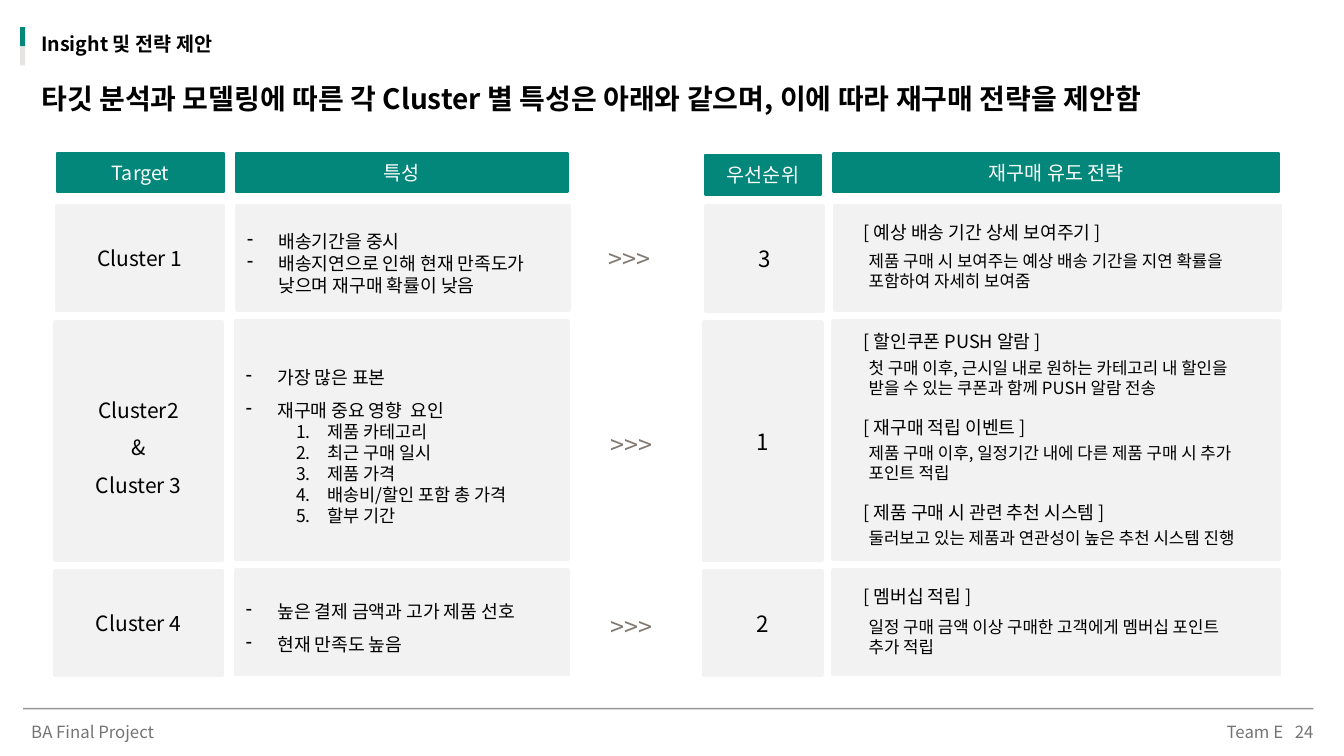
from copy import deepcopy
from lxml.etree import SubElement
from pptx import Presentation
from pptx.dml.color import RGBColor
from pptx.enum.shapes import MSO_CONNECTOR, MSO_SHAPE
from pptx.enum.text import MSO_ANCHOR, MSO_AUTO_SIZE, PP_ALIGN
from pptx.oxml.ns import qn
from pptx.util import Pt

FONT = "Noto Sans CJK KR"
COLORS = {"green": "03877A", "pale": "E6E5E4", "card": "F2F2F2", "text": "000000",
          "white": "FFFFFF", "footer": "747474", "arrow": "807971", "rule": "404040"}

prs = Presentation()
prs.slide_width, prs.slide_height = Pt(960), Pt(540)
s = prs.slides.add_slide(prs.slide_layouts[5])


def write(sp, lines, size, color="text", bold=False, align=PP_ALIGN.LEFT, spacing=1.0):
    """Fill a shape; a line is a text or a (text, spacing, bullet, size) tuple."""
    tf = sp.text_frame
    tf.word_wrap = True
    for i, line in enumerate(lines):
        text, gap, bullet, pts = (line, spacing, None, size) if isinstance(line, str) else line
        p = tf.paragraphs[0] if i == 0 else tf.add_paragraph()
        p.text, p.alignment, p.line_spacing = text, align, gap
        if bullet:
            numbered = bullet == "1."
            pPr = p._p.get_or_add_pPr()
            pPr.set("marL", str(Pt(58.5 if numbered else 22.5)))
            pPr.set("indent", str(Pt(-22.5)))
            if numbered:
                p.level = 1
                SubElement(pPr, qn("a:buAutoNum"), type="arabicPeriod")
            else:
                SubElement(pPr, qn("a:buChar"), char=bullet)
        for r in p.runs:
            for name, value in {"name": FONT, "size": Pt(pts), "bold": bold}.items():
                setattr(r.font, name, value)
            r.font.color.rgb = RGBColor.from_string(COLORS[color])
            rPr = r._r.get_or_add_rPr()
            SubElement(rPr, qn("a:ea"), typeface=FONT)
            for br in p._p.findall(qn("a:br")):
                if len(br) == 0:
                    br.append(deepcopy(rPr))


def box(left, top, width, height, fill, line=None):
    """Add a flat rectangle, outlined in its own colour if a line width is given."""
    sp = s.shapes.add_shape(MSO_SHAPE.RECTANGLE, Pt(left), Pt(top), Pt(width), Pt(height))
    sp.shadow.inherit = False
    sp.fill.solid()
    sp.fill.fore_color.rgb = RGBColor.from_string(COLORS[fill])
    if line:
        sp.line.color.rgb = RGBColor.from_string(COLORS[fill])
        sp.line.width = Pt(line)
    else:
        sp.line.fill.background()
    sp.text_frame.vertical_anchor = MSO_ANCHOR.MIDDLE
    return sp


# Section marker and title
for top, fill in ((19.4, "green"), (33.1, "pale")):
    box(14.4, top, 3.6, 13.7, fill)
section = s.shapes.add_textbox(Pt(22.3), Pt(19.4), Pt(164.9), Pt(24.5))
write(section, ["Insight 및 전략 제안"], 14, bold=True)

title = s.shapes.title
title.left, title.top, title.width, title.height = Pt(22.3), Pt(54.7), Pt(915.1), Pt(31.7)
title.text_frame.auto_size = MSO_AUTO_SIZE.NONE
title.text_frame.vertical_anchor = MSO_ANCHOR.TOP
write(title, ["타깃 분석과 모델링에 따른 각 Cluster 별 특성은 아래와 같으며, 이에 따라 재구매 전략을 제안함"],
      20, bold=True)

# Column headers: text, left, top, width
for text, left, top, width in (("Target", 41, 109.4, 118.8), ("특성", 168.5, 109.4, 236.9),
                               ("우선순위", 503.3, 110.9, 83.5),
                               ("재구매 유도 전략", 595.4, 109.4, 318.2)):
    write(box(left, top, width, 28.1, "green", 1.5), [text], 14, "white", align=PP_ALIGN.CENTER)

# Cluster rows
rows = [
    {"top": 146.9, "height": 74.2, "shift": 0.9, "arrow": (427.7, 170.6),
     "target": ["Cluster 1"], "rank": "3",
     "features": [("배송기간을 중시", 1.5, "-", 13),
                  ("배송지연으로 인해 현재 만족도가 \v낮으며 재구매 확률이 낮음", 1.0, "-", 13)],
     "strategies": [(154.8, "[ 예상 배송 기간 상세 보여주기 ]", 175.7,
                     "제품 구매 시 보여주는 예상 배송 기간을 지연 확률을 포함하여 자세히 보여줌")]},
    {"top": 229.7, "height": 169.9, "shift": 0, "arrow": (429.1, 303.1),
     "target": ["Cluster2\v&", "Cluster 3"], "rank": "1",
     "features": [("가장 많은 표본", 1.5, "-", 13), ("재구매 중요 영향  요인", 1.5, "-", 13)]
     + [(text, 1.0, "1.", 12.5) for text in ("제품 카테고리", "최근 구매 일시", "제품 가격",
                                             "배송비/할인 포함 총 가격", "할부 기간")],
     "strategies": [(232.6, "[ 할인쿠폰 PUSH 알람 ]", 252,
                     "첫 구매 이후, 근시일 내로 원하는 카테고리 내 할인을 \v받을 수 있는 쿠폰과 함께 PUSH 알람 전송"),
                    (293.8, "[ 재구매 적립 이벤트 ]", 312.5,
                     "제품 구매 이후, 일정기간 내에 다른 제품 구매 시 추가 \v포인트 적립"),
                    (354.2, "[ 제품 구매 시 관련 추천 시스템 ]", 373.7,
                     "둘러보고 있는 제품과 연관성이 높은 추천 시스템 진행")]},
    {"top": 407.5, "height": 74.2, "shift": 0, "arrow": (429.1, 433.4),
     "target": ["Cluster 4"], "rank": "2",
     "features": [("높은 결제 금액과 고가 제품 선호", 1.5, "-", 13), ("현재 만족도 높음", 1.5, "-", 13)],
     "strategies": [(414.7, "[ 멤버십 적립 ]", 437,
                     "일정 구매 금액 이상 구매한 고객에게 멤버십 포인트 \v추가 적립")]},
]
for row in rows:
    top, height, shift = row["top"], row["height"], row["shift"]
    target = box(39.6 + shift, top + 0.5, 118.8, height, "card", 3)
    write(target, row["target"], 15, align=PP_ALIGN.CENTER,
          spacing=1.5 if len(row["target"]) > 1 else 1.0)
    write(box(168.5 + shift, top, 236.9, height, "card", 3), row["features"], 13)
    rank = box(503.3 + shift, top + 0.7, 83.5, height, "card", 3)
    write(rank, [row["rank"]], 16, align=PP_ALIGN.CENTER)
    box(595.4 + shift, top, 318.2, height, "card", 3)

    arrow_left, arrow_top = row["arrow"]
    arrow = s.shapes.add_textbox(Pt(arrow_left), Pt(arrow_top), Pt(50.4), Pt(28.8))
    write(arrow, [">>>"], 18, "arrow")

    for heading_top, heading, detail_top, detail in row["strategies"]:
        write(s.shapes.add_textbox(Pt(609.8), Pt(heading_top), Pt(261), Pt(23)), [heading], 13)
        write(s.shapes.add_textbox(Pt(613.4), Pt(detail_top), Pt(285.1), Pt(36)), [detail], 12)

# Footer
rule = s.shapes.add_connector(MSO_CONNECTOR.STRAIGHT, Pt(938.2), Pt(506.2), Pt(16.6), Pt(506.2))
rule.line.color.rgb = RGBColor.from_string(COLORS["rule"])
rule.line.width = Pt(1)
SubElement(rule.line._ln.find(".//" + qn("a:srgbClr")), qn("a:alpha"), val="54000")
SubElement(rule._element.spPr, qn("a:effectLst"))
for text, left, align in (("BA Final Project", 22.3, PP_ALIGN.LEFT),
                          ("Team E", 665.3, PP_ALIGN.RIGHT), ("24", 686.9, PP_ALIGN.RIGHT)):
    sp = s.shapes.add_textbox(Pt(left), Pt(517), Pt(251.3), Pt(13))
    for side in ("left", "top", "right", "bottom"):
        setattr(sp.text_frame, f"margin_{side}", 0)
    write(sp, [text], 12, "footer", align=align, spacing=0.9)

prs.save("out.pptx")
